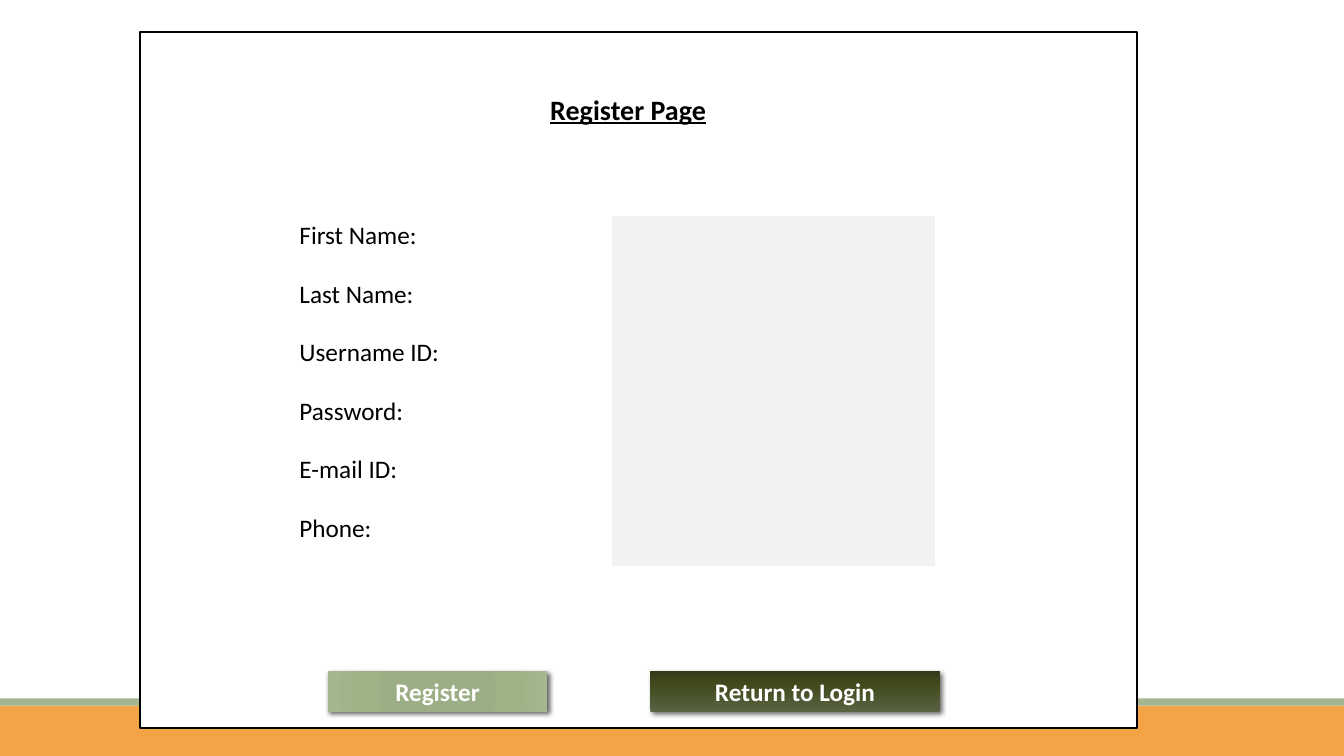
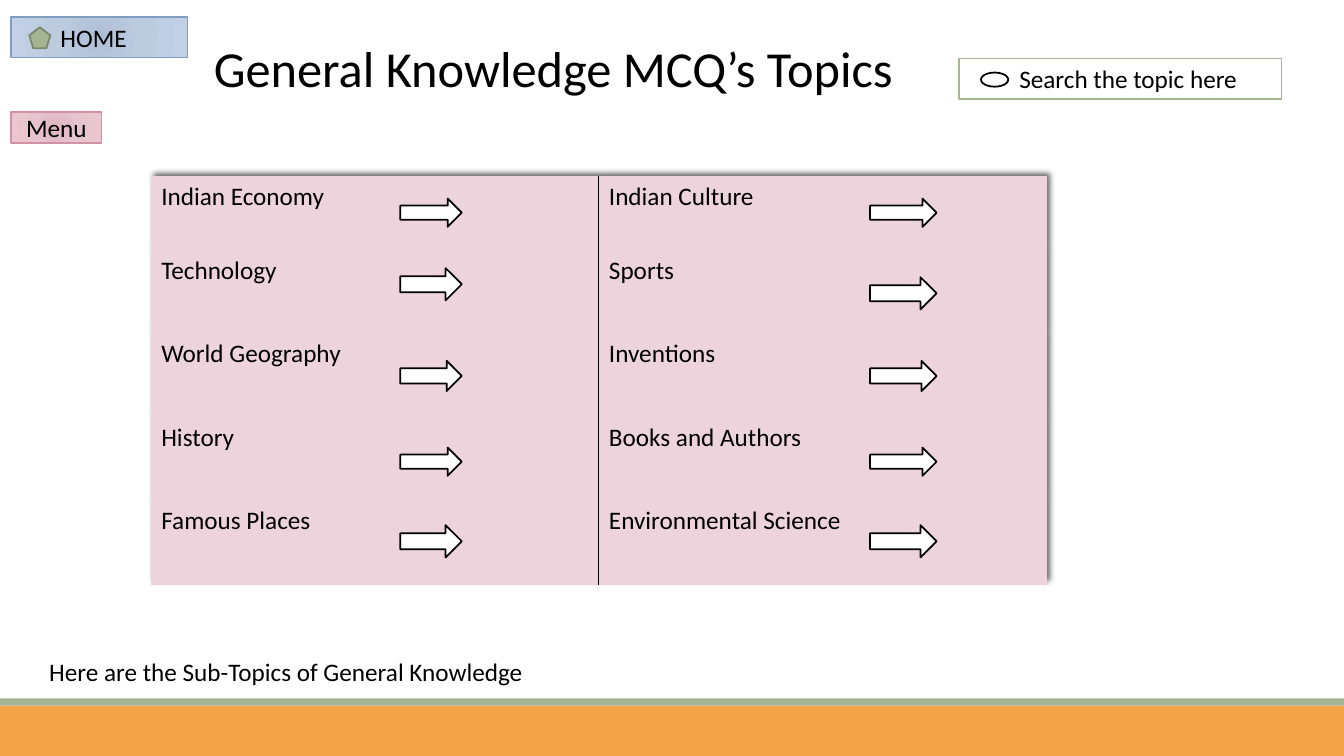
from pptx import Presentation
from pptx.dml.color import RGBColor
from pptx.enum.shapes import MSO_SHAPE
from pptx.enum.text import MSO_ANCHOR, PP_ALIGN
from pptx.oxml import parse_xml
from pptx.oxml.ns import qn
from pptx.util import Inches, Pt

RECT = MSO_SHAPE.RECTANGLE
ARROW = MSO_SHAPE.RIGHT_ARROW
LEFT, CENTER = PP_ALIGN.LEFT, PP_ALIGN.CENTER
MIDDLE = MSO_ANCHOR.MIDDLE

FONT = "Calibri"
COLORS = {
    "black": "000000", "white": "FFFFFF", "orange": "F3A447", "green": "A5B592",
    "dark green": "7A866C", "grey": "F2F2F2", "pink": "ECD3DC",
    "rose": "D092A7", "blue": "809EC2",
}
ROUND = ('<a:path path="circle"><a:fillToRect l="100000" t="100000" '
         'r="100000" b="100000"/></a:path>')
UPWARD = '<a:lin ang="16200000" scaled="0"/>'
GRADIENTS = {
    "sage": ([(0, "9AAE83"), (34, "9CAE85"), (70, "9EB286"), (100, "A5B790")], ROUND),
    "olive": ([(0, "596242"), (65, "414B1D"), (100, "333B19")], UPWARD),
    "rose fade": ([(0, "DFB6C3"), (45, "E6C3CE"), (100, "ECC7D2")], ROUND),
    "blue fade": ([(0, "AFBFD7"), (45, "BDCBDF"), (100, "C1D0E5")], ROUND),
}
SPACE = 'xmlns:a="http://schemas.openxmlformats.org/drawingml/2006/main"'
SHADOW = ('<a:outerShdw ' + SPACE + ' blurRad="{blur}" dist="{dist}" dir="{angle}" '
          'rotWithShape="0"><a:srgbClr val="000000"><a:alpha val="60000"/>'
          '</a:srgbClr></a:outerShdw>')
BUTTON_SHADOW = SHADOW.format(blur=Pt(3.5), dist=Pt(2), angle=45 * 60000)
TABLE_SHADOW = SHADOW.format(blur=Pt(4), dist=Pt(3), angle=315 * 60000)
PLAIN_TABLE = "{2D5ABB26-0587-4C30-8999-92F81FD0307C}"


def write(frame, text, size=18, color="black", bold=False, underline=False, align=LEFT):
    """Put one formatted line of text in a text frame."""
    frame.word_wrap = True
    para = frame.paragraphs[0]
    para.alignment = align
    span = para.add_run()
    span.text = text
    span.font.name = FONT
    span.font.size = Pt(size)
    span.font.bold = bold
    span.font.underline = underline
    span.font.color.rgb = RGBColor.from_string(COLORS[color])


def add_box(page, at, kind=RECT, fill=None, line=None, width=1.25, shadow=None,
            text=None, indent=0.1, **style):
    """Add a shape with a plain or gradient fill, an outline and a line of text."""
    box = page.shapes.add_shape(kind, *[Inches(length) for length in at])
    box.shadow.inherit = False
    properties = box._element.spPr
    if shadow:
        properties.find(qn("a:effectLst")).append(parse_xml(shadow))
    if fill in GRADIENTS:
        stops, direction = GRADIENTS[fill]
        marks = "".join(f'<a:gs pos="{place * 1000}"><a:srgbClr val="{color}"/></a:gs>'
                        for place, color in stops)
        box.fill.gradient()
        properties.replace(properties.find(qn("a:gradFill")), parse_xml(
            f'<a:gradFill {SPACE} rotWithShape="1"><a:gsLst>{marks}</a:gsLst>'
            f'{direction}</a:gradFill>'))
    elif fill:
        box.fill.solid()
        box.fill.fore_color.rgb = RGBColor.from_string(COLORS[fill])
    else:
        box.fill.background()
    if line:
        box.line.color.rgb = RGBColor.from_string(COLORS[line])
        box.line.width = Pt(width)
    else:
        box.line.fill.background()
    if text:
        box.text_frame.margin_left = Inches(indent)
        box.text_frame.vertical_anchor = MIDDLE
        write(box.text_frame, text, **style)


deck = Presentation()
deck.slide_width, deck.slide_height = Inches(13.33), Inches(7.5)
register, topics = [deck.slides.add_slide(deck.slide_layouts[6]) for _ in range(2)]
for page in (register, topics):
    add_box(page, (0, 7, 13.33, 0.5), fill="orange")
    add_box(page, (0, 6.93, 13.33, 0.07), fill="green")

# Window behind the register form
add_box(register, (1.39, 0.32, 9.89, 6.9), fill="white", line="black")

# Form fields and topic list
fields = [(label, "") for label in ("First Name:", "Last Name:", "Username ID:",
                                    "Password:", "E-mail ID:", "Phone:")]
subjects = [
    ("Indian Economy", "Indian Culture"),
    ("Technology", "Sports"),
    ("World Geography", "Inventions"),
    ("History", "Books and Authors"),
    ("Famous Places", "Environmental Science"),
]
tables = [
    (register, fields, (2.87, 2.14), 3.2, [0.58] * 6, (None, "grey"), False),
    (topics, subjects, (1.5, 1.75), 4.44, [0.73] + [0.83] * 4, ("pink", "pink"), True),
]
for page, rows, (left, top), column, heights, fills, framed in tables:
    table = page.shapes.add_table(len(rows), 2, Inches(left), Inches(top),
                                  Inches(2 * column), Inches(sum(heights))).table
    table.first_row = table.horz_banding = False
    look = table._tbl.tblPr
    look.find(qn("a:tableStyleId")).text = PLAIN_TABLE
    if framed:
        look.insert(0, parse_xml(f'<a:effectLst {SPACE}>{TABLE_SHADOW}</a:effectLst>'))
    for table_column in table.columns:
        table_column.width = Inches(column)
    for r, (labels, height) in enumerate(zip(rows, heights)):
        table.rows[r].height = Inches(height)
        for c, (label, fill) in enumerate(zip(labels, fills)):
            cell = table.cell(r, c)
            write(cell.text_frame, label)
            if fill:
                cell.fill.solid()
                cell.fill.fore_color.rgb = RGBColor.from_string(COLORS[fill])
            else:
                cell.fill.background()
            if framed:
                side = "lnL" if c else "lnR"
                cell._tc.get_or_add_tcPr().insert(0, parse_xml(
                    f'<a:{side} {SPACE} w="{Pt(1)}"><a:solidFill><a:srgbClr '
                    f'val="{COLORS["black"]}"/></a:solidFill></a:{side}>'))

# Register page: title and buttons
add_box(register, (4.61, 0.86, 3.24, 0.44), text="Register Page", size=20, bold=True,
        underline=True, align=CENTER)
for left, width, fill, text in [(3.25, 2.18, "sage", "Register"),
                                (6.45, 2.87, "olive", "Return to Login")]:
    add_box(register, (left, 6.66, width, 0.4), fill=fill, shadow=BUTTON_SHADOW,
            text=text, color="white", bold=True, align=CENTER)

# Topics page: title, arrows and caption
add_box(topics, (0.39, 0.31, 10.2, 0.71), text="General Knowledge MCQ’s Topics",
        size=36, align=CENTER)
arrow_rows = [(1.97, 1.97, 0.28), (2.66, 2.75, 0.32), (3.58, 3.58, 0.3),
              (4.44, 4.44, 0.28), (5.21, 5.21, 0.32)]
for left_top, right_top, height in arrow_rows:
    for left, top, width in [(3.97, left_top, 0.61), (8.63, right_top, 0.66)]:
        add_box(topics, (left, top, width, height), ARROW, fill="white", line="black")
add_box(topics, (0.39, 6.46, 8.44, 0.4), text="Here are the Sub-Topics of General Knowledge")

# Topics page: menu, search and home
add_box(topics, (0.11, 1.11, 0.9, 0.31), MSO_SHAPE.FLOWCHART_PROCESS, fill="rose fade",
        line="rose", width=1, text="Menu", align=CENTER)
add_box(topics, (9.51, 0.58, 3.2, 0.4), fill="white", line="green",
        text="Search the topic here", indent=0.6)
add_box(topics, (9.73, 0.72, 0.27, 0.14), MSO_SHAPE.FLOWCHART_CONNECTOR, fill="white",
        line="black")
add_box(topics, (0.11, 0.17, 1.75, 0.4), fill="blue fade", line="blue", width=1,
        text="HOME", indent=0.49)
add_box(topics, (0.29, 0.27, 0.21, 0.21), MSO_SHAPE.REGULAR_PENTAGON, fill="green",
        line="dark green")

deck.save("out.pptx")
